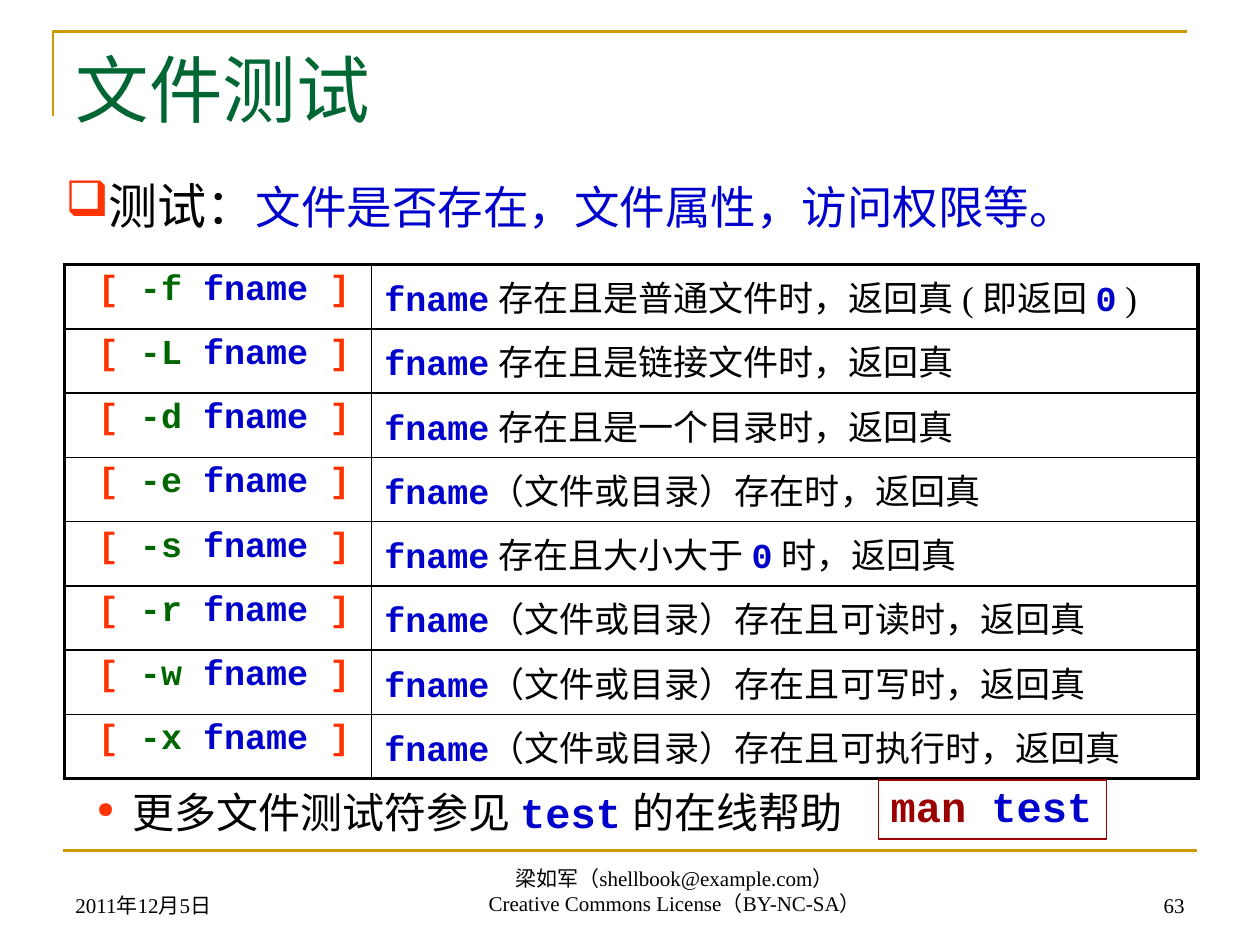
from lxml import etree
from pptx import Presentation
from pptx.dml.color import RGBColor
from pptx.enum import shapes, text
from pptx.oxml.ns import qn
from pptx.util import Inches, Pt

SERIF, SANS, MONO = "Times New Roman", "Arial", "Courier New"
THEME = {
    "gold": "CC9900", "green": "006633", "flag": "006600", "blue": "0000CC",
    "red": "FF3300", "wine": "990000", "ink": "000000",
    "title": 42, "lead": 28, "sub": 26, "note": 24, "cell": 20, "gap": 18, "foot": 12,
}

# A run is (text, font, colour, size); Courier New runs are bold.
TITLE = ("文件测试", SERIF, "green", "title")
LEAD = [("测试：", SANS, "ink", "lead"),
        ("文件是否存在，文件属性，访问权限等。", SANS, "blue", "sub")]
NOTE = [(" ", SANS, "ink", "gap"), ("更多文件测试符参见 ", SANS, "ink", "note"),
        ("test", MONO, "blue", "note"), (" 的在线帮助", SANS, "ink", "note")]
COMMAND = [("man", MONO, "wine", "note"), (" test", MONO, "blue", "note")]

# Flag, then the meaning split so that every second part is code.
TESTS = [
    ("-f", ["fname", " 存在且是普通文件时，返回真 ( 即返回 ", "0", " )"]),
    ("-L", ["fname", " 存在且是链接文件时，返回真"]),
    ("-d", ["fname", " 存在且是一个目录时，返回真"]),
    ("-e", ["fname", "（文件或目录）存在时，返回真"]),
    ("-s", ["fname", " 存在且大小大于 ", "0", " 时，返回真"]),
    ("-r", ["fname", "（文件或目录）存在且可读时，返回真"]),
    ("-w", ["fname", "（文件或目录）存在且可写时，返回真"]),
    ("-x", ["fname", "（文件或目录）存在且可执行时，返回真"]),
]
FOOT = [
    ((0.5, 6.83, 2.33, 0.5), "LEFT", ["2011年12月5日"]),
    ((2.4, 6.82, 5.91, 0.5), "CENTER",
     ["梁如军（shellbook@example.com）", "Creative Commons License（BY-NC-SA）"]),
    ((7.17, 6.83, 2.33, 0.5), "RIGHT", ["63"]),
]
GRID = {"left": 0.51, "top": 2.1, "cols": (2.44, 6.56), "row": 0.51}


def tint(name):
    return RGBColor.from_string(THEME[name])


def write(para, runs, **form):
    for key, val in form.items():
        setattr(para, key, val)
    for words, face, hue, size in runs:
        run = para.add_run()
        run.text = words
        look = {"name": face, "size": Pt(THEME[size]), "bold": face == MONO}
        for key, val in look.items():
            setattr(run.font, key, val)
        run.font.color.rgb = tint(hue)


def add_text(slide, place, lines, anchor="TOP", wrap=True, **form):
    box = slide.shapes.add_textbox(*map(Inches, place))
    frame = box.text_frame
    frame.word_wrap = wrap
    frame.vertical_anchor = text.MSO_ANCHOR[anchor]
    for num, runs in enumerate(lines):
        para = frame.add_paragraph() if num else frame.paragraphs[0]
        write(para, runs, **form)
    return box


def add_bullet(para, sign, indent, scale):
    props = para._p.get_or_add_pPr()
    props.set("marL", str(Inches(indent)))
    props.set("indent", str(-Inches(indent)))
    hue = etree.SubElement(props, qn("a:buClr"))
    etree.SubElement(hue, qn("a:srgbClr"), val=THEME["red"])
    etree.SubElement(props, qn("a:buSzPct"), val=str(scale * 1000))
    etree.SubElement(props, qn("a:buChar"), char=sign)


def add_border(cell, widths):
    """Draw the left, right, top and bottom edges, widths in points."""
    props = cell._tc.get_or_add_tcPr()
    for num, (side, width) in enumerate(zip("LRTB", widths)):
        edge = etree.Element(qn(f"a:ln{side}"), w=str(Pt(width)))
        fill = etree.SubElement(edge, qn("a:solidFill"))
        etree.SubElement(fill, qn("a:srgbClr"), val=THEME["ink"])
        props.insert(num, edge)


def add_frame(slide):
    pen = slide.shapes.build_freeform(Inches(0.42), Inches(0.92))
    pen.add_line_segments([(Inches(0.42), Inches(0.25)), (Inches(9.42), Inches(0.25))],
                          close=False)
    top = pen.convert_to_shape()
    top.shadow.inherit = False
    top.fill.background()
    base = slide.shapes.add_connector(shapes.MSO_CONNECTOR.STRAIGHT,
                                      *map(Inches, (0.5, 6.75, 9.5, 6.75)))
    etree.SubElement(base._element.spPr, qn("a:effectLst"))
    for item in (top, base):
        item.line.color.rgb = tint("gold")
        item.line.width = Pt(1.5)


def add_title(slide):
    title = slide.shapes.title
    place = zip(("left", "top", "width", "height"), (0.5, 0.3, 9, 1.25))
    for key, val in place:
        setattr(title, key, Inches(val))
    frame = title.text_frame
    frame.auto_size = text.MSO_AUTO_SIZE.NONE
    frame.vertical_anchor = text.MSO_ANCHOR.TOP
    write(frame.paragraphs[0], [TITLE], alignment=text.PP_ALIGN.LEFT)


def add_grid(slide):
    count, cols = len(TESTS), GRID["cols"]
    place = GRID["left"], GRID["top"], sum(cols), GRID["row"] * count
    table = slide.shapes.add_table(count, len(cols), *map(Inches, place)).table
    table.first_row = table.horz_banding = False
    for col, width in zip(table.columns, cols):
        col.width = Inches(width)
    for row, (flag, parts) in enumerate(TESTS):
        code = [(" [ ", "red"), (flag + " ", "flag"), ("fname ", "blue"), ("]", "red")]
        left = [(words, MONO, hue, "cell") for words, hue in code]
        right = [(words, *((SERIF, "ink") if num % 2 else (MONO, "blue")), "cell")
                 for num, words in enumerate(parts)]
        for col, runs in enumerate((left, right)):
            cell = table.cell(row, col)
            cell.fill.background()
            write(cell.text_frame.paragraphs[0], runs, space_before=Pt(4))
            outer = col == 0, col == 1, row == 0, row == count - 1
            add_border(cell, [2.25 if edge else 1 for edge in outer])


def main():
    deck = Presentation()
    deck.slide_width, deck.slide_height = Inches(10), Inches(7.5)
    slide = deck.slides.add_slide(deck.slide_layouts[5])
    add_frame(slide)
    add_title(slide)
    for place, align, lines in FOOT:
        add_text(slide, place, [[(words, SERIF, "ink", "foot")] for words in lines],
                 "BOTTOM", alignment=text.PP_ALIGN[align])
    add_grid(slide)
    for place, runs, bullet in (
            ((0.42, 1.25, 9.17, 0.66), LEAD, ("❑", 0.34, 100)),
            ((0.67, 6.11, 6.46, 0.59), NOTE, ("●", 0.23, 70))):
        box = add_text(slide, place, [runs], line_spacing=1.2)
        add_bullet(box.text_frame.paragraphs[0], *bullet)
    box = add_text(slide, (6.97, 6.19, 1.81, 0.47), [COMMAND], wrap=False,
                   line_spacing=0.9)
    box.line.color.rgb = tint("wine")
    box.line.width = Pt(0.75)
    deck.save("out.pptx")


if __name__ == "__main__":
    main()
